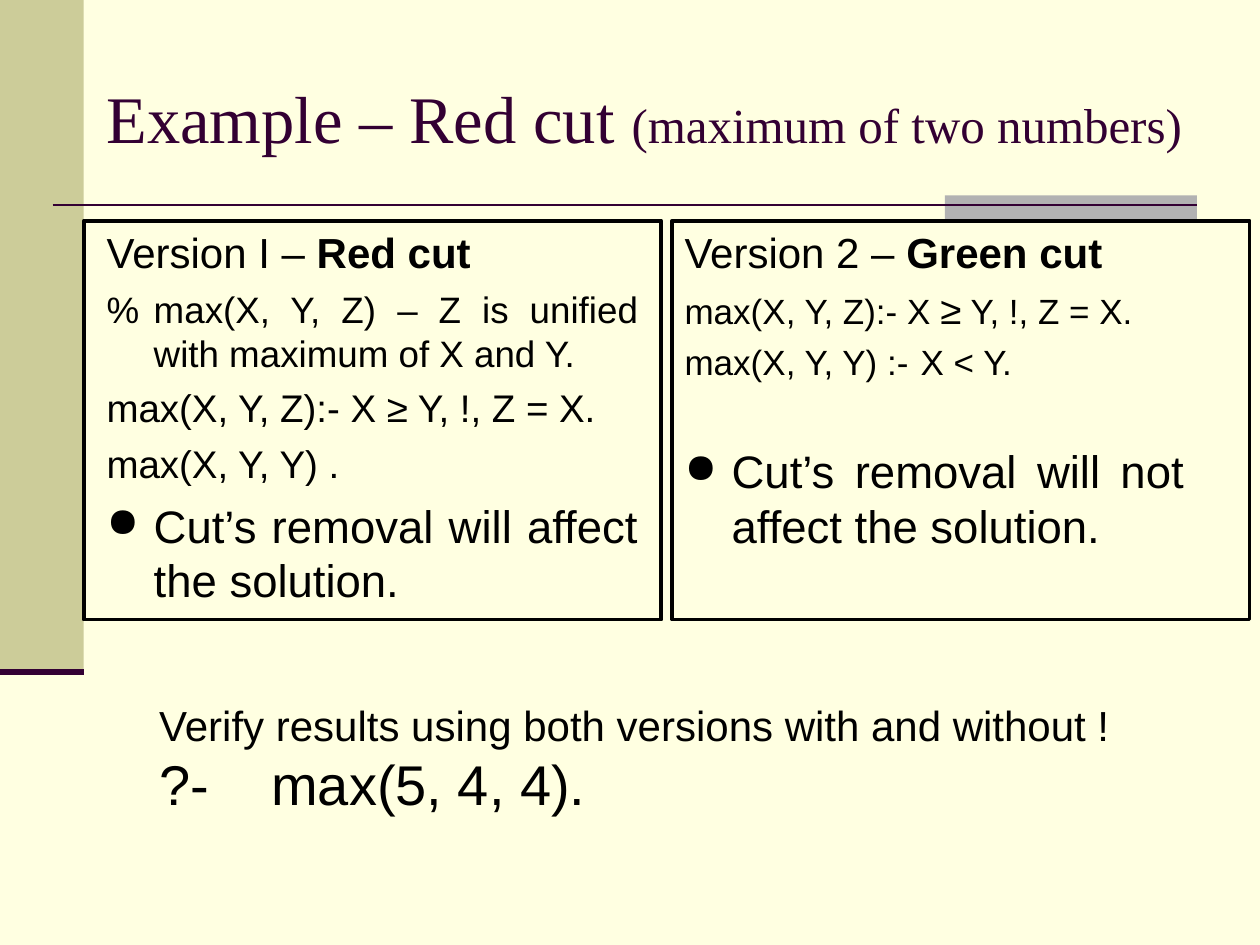
import dataclasses

import pptx
import pptx.dml.color
import pptx.enum.shapes
import pptx.enum.text
import pptx.oxml.ns
import pptx.util
from lxml import etree

Cm, Pt = pptx.util.Cm, pptx.util.Pt
RGB = pptx.dml.color.RGBColor.from_string
ALIGN = pptx.enum.text.PP_ALIGN
ANCHOR = pptx.enum.text.MSO_ANCHOR


@dataclasses.dataclass(frozen=True)
class Theme:
    back: str = "FFFFE1"
    side: str = "CCCC99"
    block: str = "B2B2B2"
    plum: str = "330033"
    ink: str = "000000"
    serif: str = "Times New Roman"
    sans: str = "Arial"
    title: float = 38
    sub: float = 28
    head: float = 24
    note: float = 21
    code: float = 22
    small: float = 20
    point: float = 26
    query: float = 32


THEME = Theme()
HANG = Cm(0.95)


def apply(item, values):
    for name, value in values.items():
        setattr(item, name, value)


def add_sub(parent, tag, **attrs):
    return etree.SubElement(parent, pptx.oxml.ns.qn(tag), attrs)


def add_rect(slide, box, fill=None, line=None):
    kind = pptx.enum.shapes.MSO_SHAPE.RECTANGLE
    rect = slide.shapes.add_shape(kind, *map(Cm, box))
    rect.shadow.inherit = False
    if fill:
        rect.fill.solid()
        rect.fill.fore_color.rgb = RGB(fill)
    else:
        rect.fill.background()
    if line:
        rect.line.color.rgb = RGB(line)
        rect.line.width = Pt(2.25)
    else:
        rect.line.fill.background()


def add_rule(slide, left, right, y, width):
    kind = pptx.enum.shapes.MSO_CONNECTOR.STRAIGHT
    rule = slide.shapes.add_connector(kind, *map(Cm, (left, y, right, y)))
    rule.line.color.rgb = RGB(THEME.plum)
    rule.line.width = Pt(width)
    add_sub(rule._element.spPr, "a:effectLst")


def add_text(slide, box, paras, face=THEME.sans, color=THEME.ink, anchor=ANCHOR.TOP):
    """Each paragraph is a pair: its runs (text, size, bold) and its layout."""
    frame = slide.shapes.add_textbox(*map(Cm, box)).text_frame
    apply(frame, {"word_wrap": True, "vertical_anchor": anchor})
    for num, (runs, look) in enumerate(paras):
        para = frame.paragraphs[0] if num == 0 else frame.add_paragraph()
        props = para._p.get_or_add_pPr()
        if look.get("hang"):
            props.set("marL", str(HANG))
            props.set("indent", str(-HANG))
        if look.get("bullet"):
            tint = add_sub(props, "a:buClr")
            add_sub(tint, "a:srgbClr", val=color)
            add_sub(props, "a:buSzPct", val="90000")
            add_sub(props, "a:buChar", char="●")
        if look.get("tabs"):
            stops = add_sub(props, "a:tabLst")
            for stop in look["tabs"]:
                add_sub(stops, "a:tab", pos=str(Cm(stop)), algn="l")
        apply(para, {"alignment": look.get("align", ALIGN.LEFT),
                     "space_before": Pt(look.get("before", 0))})
        for text, size, bold in runs:
            run = para.add_run()
            run.text = text
            apply(run.font, {"name": face, "size": Pt(size), "bold": bold})
            run.font.color.rgb = RGB(color)


def body(before, **more):
    return {"hang": True, "align": ALIGN.JUSTIFY, "before": before, **more}


def draw_decor(slide, wide):
    # Side band, grey block and the two rules
    band, foot = 1.69, 13.55
    add_rect(slide, (0, 0, band, foot), THEME.side)
    edge = wide - 1.27
    add_rect(slide, (edge - 5.08, 3.94, 5.08, 0.5), THEME.block)
    add_rule(slide, 1.06, edge, 4.13, 1.5)
    add_rule(slide, 0, band, foot, 3.5)


def draw_title(slide, box):
    runs = [("Example – Red cut ", THEME.title, False),
            ("(maximum of two numbers)", THEME.sub, False)]
    add_text(slide, box, [(runs, {})], THEME.serif, THEME.plum, ANCHOR.MIDDLE)


def draw_panel(slide, box, shift, span, head, name, lines):
    # Heading and body, inside a black frame
    left, top, wide, high = box
    title = [(head, THEME.head, False), (name, THEME.head, True)]
    paras = [(title, {"hang": True}), *lines]
    add_text(slide, (left + shift, top, span, high), paras)
    add_rect(slide, box, line=THEME.ink)


def draw_query(slide, box):
    paras = [
        ([("Verify results using both versions with and without !", THEME.head, False)], {}),
        ([("?-\tmax(5, 4, 4).", THEME.query, False)], {"tabs": [2.26]}),
    ]
    add_text(slide, box, paras)


def main():
    deck = pptx.Presentation()
    apply(deck, {"slide_width": Cm(25.4), "slide_height": Cm(19.05)})
    slide = deck.slides.add_slide(deck.slide_layouts[6])
    slide.background.fill.solid()
    slide.background.fill.fore_color.rgb = RGB(THEME.back)

    draw_decor(slide, 25.4)
    draw_title(slide, (1.9, 0.76, 22.65, 3.18))

    # Two versions side by side
    red = [
        ([("%\tmax(X, Y, Z) – Z is unified with maximum of X and Y.", THEME.note, False)],
         body(5.2, tabs=[0])),
        ([("max(X, Y, Z):- X ≥ Y, !, Z = X.", THEME.code, False)], body(5.5)),
        ([("max(X, Y, Y) .", THEME.code, False)], body(5.5)),
        ([("Cut’s removal will affect the solution.", THEME.point, False)],
         body(6.5, bullet=True)),
    ]
    green = [
        ([("max(X, Y, Z):- X ", THEME.small, False), ("≥", THEME.code, False),
          (" Y, !, Z = X.", THEME.small, False)], body(5)),
        ([("max(X, Y, Y) :- \tX < Y.", THEME.small, False)], body(5, tabs=[5.08])),
        ([("Cut’s removal will not affect the solution.", THEME.point, False)],
         body(34.5, bullet=True)),
    ]
    panels = [(0.21, 11.22, "Version I – ", "Red cut", red),
              (0, 10.58, "Version 2 – ", "Green cut", green)]
    wide, gap = 11.64, 0.22
    for num, panel in enumerate(panels):
        left = 1.69 + num * (wide + gap)
        draw_panel(slide, (left, 4.45, wide, 8.04), *panel)

    draw_query(slide, (2.96, 13.97, 21.17, 2.65))
    deck.save("out.pptx")


if __name__ == "__main__":
    main()
